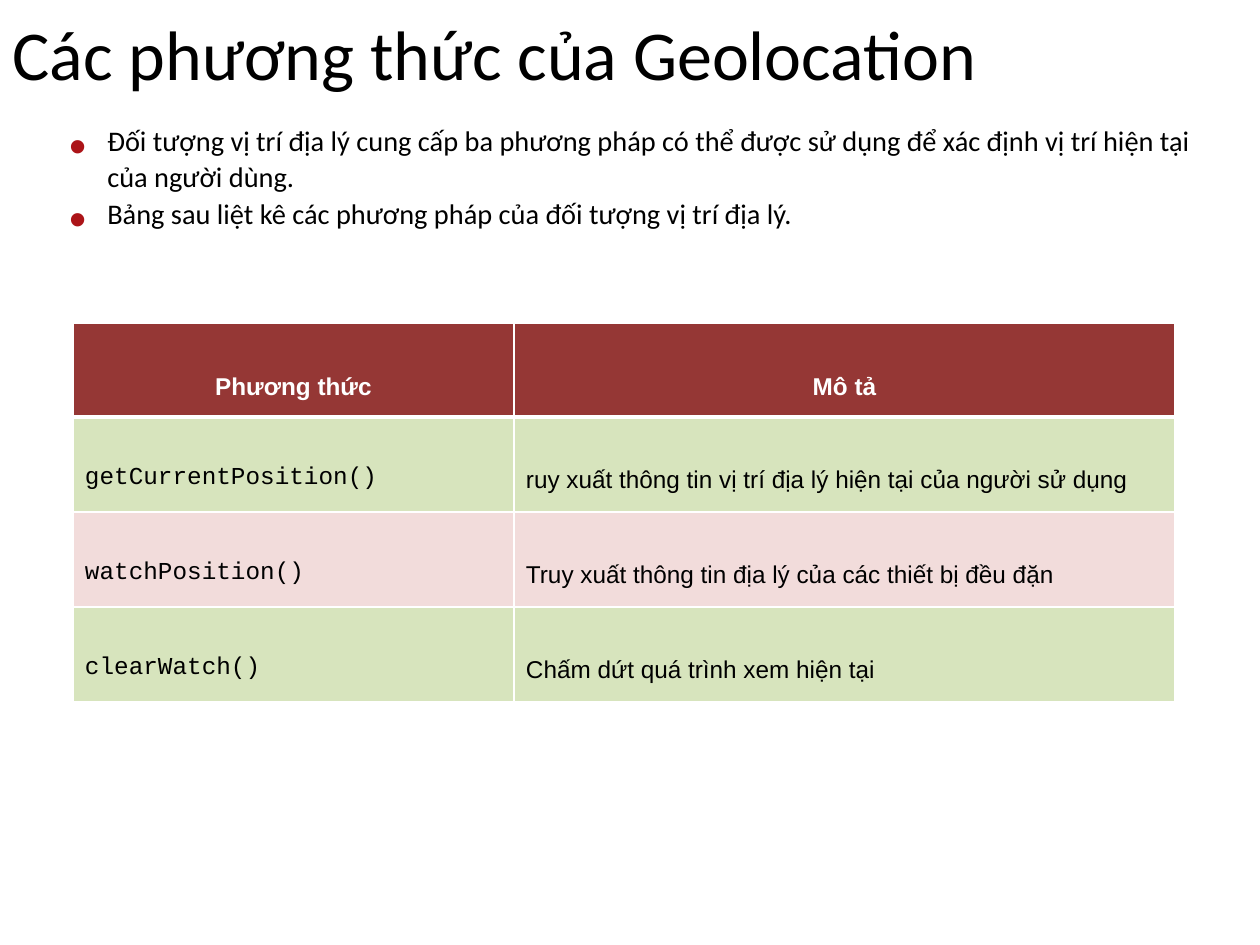
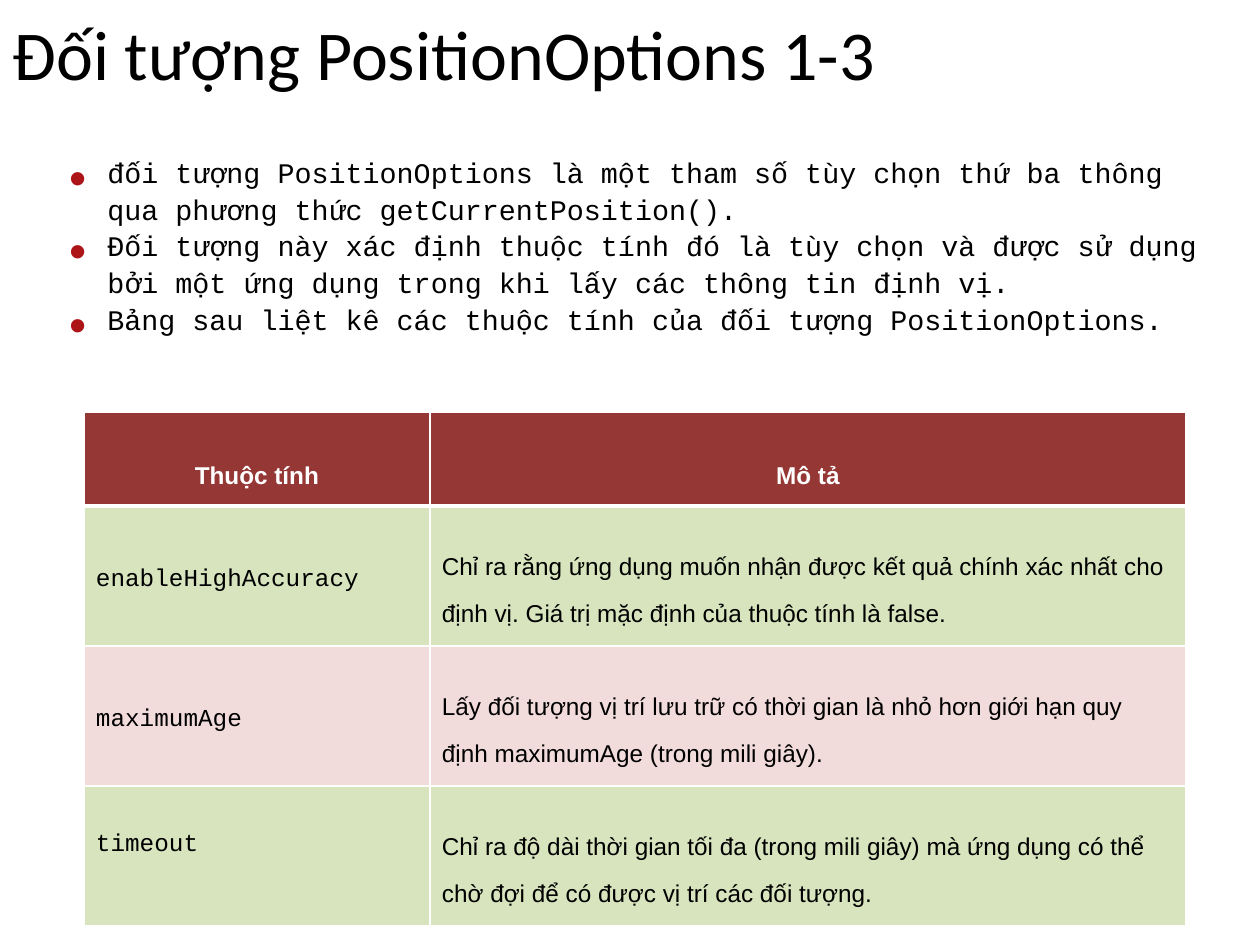
from dataclasses import dataclass

from lxml.etree import SubElement
from pptx import Presentation
from pptx.dml.color import RGBColor
from pptx.enum.text import MSO_ANCHOR, MSO_AUTO_SIZE, PP_ALIGN
from pptx.oxml.ns import qn
from pptx.util import Emu, Pt

EMU_PER_PX = 914400 / 126


@dataclass(frozen=True)
class Theme:
    ink: str = "000000"
    paper: str = "FFFFFF"
    bullet: str = "AC1418"
    header: str = "953735"
    bands: tuple = ("D7E4BD", "F2DCDB")
    title_font: str = "Calibri"
    table_font: str = "Arial"
    code_font: str = "Courier New"
    title_size: int = 40
    bullet_size: int = 28
    table_size: int = 24
    bullet_leading: int = 21
    superscript: int = 30000
    thin_rule: int = 1
    thick_rule: int = 3


THEME = Theme()


def px(length):
    return Emu(round(length * EMU_PER_PX))


def place(shape, box):
    shape.left, shape.top, shape.width, shape.height = map(px, box)


def style(para, name, size, color, bold=False):
    font = para.font
    font.name, font.size, font.bold = name, Pt(size), bold
    font.color.rgb = RGBColor.from_string(color)


def add_raised_text(para, text):
    span = para.add_run()
    span.text = text
    span._r.get_or_add_rPr().set("baseline", str(THEME.superscript))


def add_title(page, text, box):
    title = page.shapes.title
    place(title, box)
    frame = title.text_frame
    frame.text = text
    frame.auto_size = MSO_AUTO_SIZE.NONE
    frame.vertical_anchor = MSO_ANCHOR.MIDDLE
    para = frame.paragraphs[0]
    para.alignment = PP_ALIGN.LEFT
    style(para, THEME.title_font, THEME.title_size, THEME.ink)


def set_bullet(para):
    properties = para._p.get_or_add_pPr()
    properties.set("marL", str(px(63)))
    properties.set("indent", str(-px(38)))
    color = SubElement(properties, qn("a:buClr"))
    SubElement(color, qn("a:srgbClr"), val=THEME.bullet)
    SubElement(properties, qn("a:buFont"), typeface=THEME.table_font)
    SubElement(properties, qn("a:buChar"), char="•")


def add_bullets(page, lines, font_name, box):
    frame = page.shapes.add_textbox(*map(px, box)).text_frame
    frame.word_wrap = True
    frame.vertical_anchor = MSO_ANCHOR.MIDDLE
    for index, line in enumerate(lines):
        para = frame.add_paragraph() if index else frame.paragraphs[0]
        para.line_spacing = Pt(THEME.bullet_leading)
        set_bullet(para)
        add_raised_text(para, line)
        style(para, font_name, THEME.bullet_size, THEME.ink)


def set_borders(cell, row):
    widths = {
        "a:lnL": THEME.thin_rule,
        "a:lnR": THEME.thin_rule,
        "a:lnT": THEME.thick_rule if row == 1 else THEME.thin_rule,
        "a:lnB": THEME.thick_rule if row == 0 else THEME.thin_rule,
    }
    properties = cell._tc.get_or_add_tcPr()
    for tag, width in widths.items():
        line = SubElement(properties, qn(tag), w=str(Pt(width)))
        fill = SubElement(line, qn("a:solidFill"))
        SubElement(fill, qn("a:srgbClr"), val=THEME.paper)


def fill_cell(cell, row, column, text, lift):
    set_borders(cell, row)
    cell.fill.solid()
    band = THEME.bands[(row - 1) % 2] if row else THEME.header
    cell.fill.fore_color.rgb = RGBColor.from_string(band)
    cell.margin_left = cell.margin_right = px(12)
    cell.margin_top, cell.margin_bottom = 0, px(lift)
    cell.vertical_anchor = MSO_ANCHOR.BOTTOM
    para = cell.text_frame.paragraphs[0]
    add_raised_text(para, text)
    if row == 0:
        para.alignment = PP_ALIGN.CENTER
        style(para, THEME.table_font, THEME.table_size, THEME.paper, bold=True)
    else:
        name = THEME.table_font if column else THEME.code_font
        style(para, name, THEME.table_size, THEME.ink)


def add_reference_table(page, rows, box, name_width, name_lifts):
    left, top, width, height = box
    frame = page.shapes.add_table(len(rows), 2, *map(px, box))
    table = frame.table
    table.first_row = table.horz_banding = False
    table.columns[0].width = px(name_width)
    table.columns[1].width = px(width - name_width)
    header_height = 94
    body_height = (height - header_height) / (len(rows) - 1)
    for row, texts in enumerate(rows):
        table.rows[row].height = px(body_height if row else header_height)
        lifts = (name_lifts[row - 1], 2) if row else (0, 0)
        for column, (text, lift) in enumerate(zip(texts, lifts)):
            fill_cell(table.cell(row, column), row, column, text, lift)


def add_page(deck, title):
    page = deck.slides.add_slide(deck.slide_layouts[5])
    add_title(page, title, (0, 0, 1166, 105))
    return page


def add_methods_page(deck):
    page = add_page(deck, "Các phương thức của Geolocation")
    add_bullets(page, [
        "Đối tượng vị trí địa lý cung cấp ba phương pháp có thể được sử dụng "
        "để xác định vị trí hiện tại của người dùng.",
        "Bảng sau liệt kê các phương pháp của đối tượng vị trí địa lý.",
    ], THEME.title_font, (32, 126, 1187, 136))
    add_reference_table(page, [
        ("Phương thức", "Mô tả"),
        ("getCurrentPosition()",
         "ruy xuất thông tin vị trí địa lý hiện tại của người sử dụng"),
        ("watchPosition()",
         "Truy xuất thông tin địa lý của các thiết bị đều đặn"),
        ("clearWatch()", "Chấm dứt quá trình xem hiện tại"),
    ], (73, 323, 1102, 379), 441, (2, 2, 2))


def add_options_page(deck):
    page = add_page(deck, "Đối tượng PositionOptions 1-3")
    add_bullets(page, [
        "đối tượng PositionOptions là một tham số tùy chọn thứ ba thông qua "
        "phương thức getCurrentPosition().",
        "Đối tượng này xác định thuộc tính đó là tùy chọn và được sử dụng bởi "
        "một ứng dụng trong khi lấy các thông tin định vị.",
        "Bảng sau liệt kê các thuộc tính của đối tượng PositionOptions.",
    ], THEME.code_font, (32, 116, 1187, 294))
    add_reference_table(page, [
        ("Thuộc tính", "Mô tả"),
        ("enableHighAccuracy",
         "Chỉ ra rằng ứng dụng muốn nhận được kết quả chính xác nhất cho "
         "định vị. Giá trị mặc định của thuộc tính là false."),
        ("maximumAge",
         "Lấy đối tượng vị trí lưu trữ có thời gian là nhỏ hơn giới hạn quy "
         "định maximumAge (trong mili giây)."),
        ("timeout",
         "Chỉ ra độ dài thời gian tối đa (trong mili giây) mà ứng dụng có thể "
         "chờ đợi để có được vị trí các đối tượng."),
    ], (84, 412, 1102, 514), 346, (34, 34, 49))


def main():
    deck = Presentation()
    deck.slide_width, deck.slide_height = px(1260), px(945)
    add_methods_page(deck)
    add_options_page(deck)
    deck.save("out.pptx")


if __name__ == "__main__":
    main()
